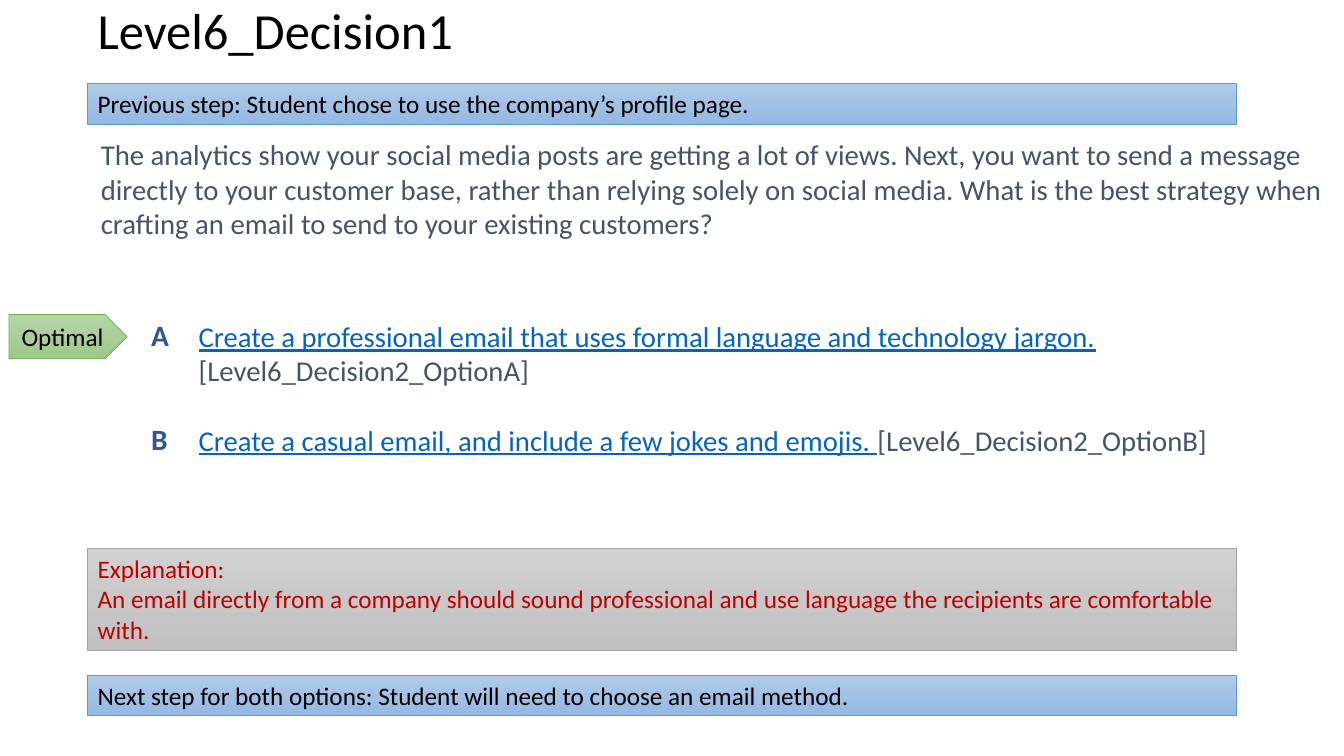
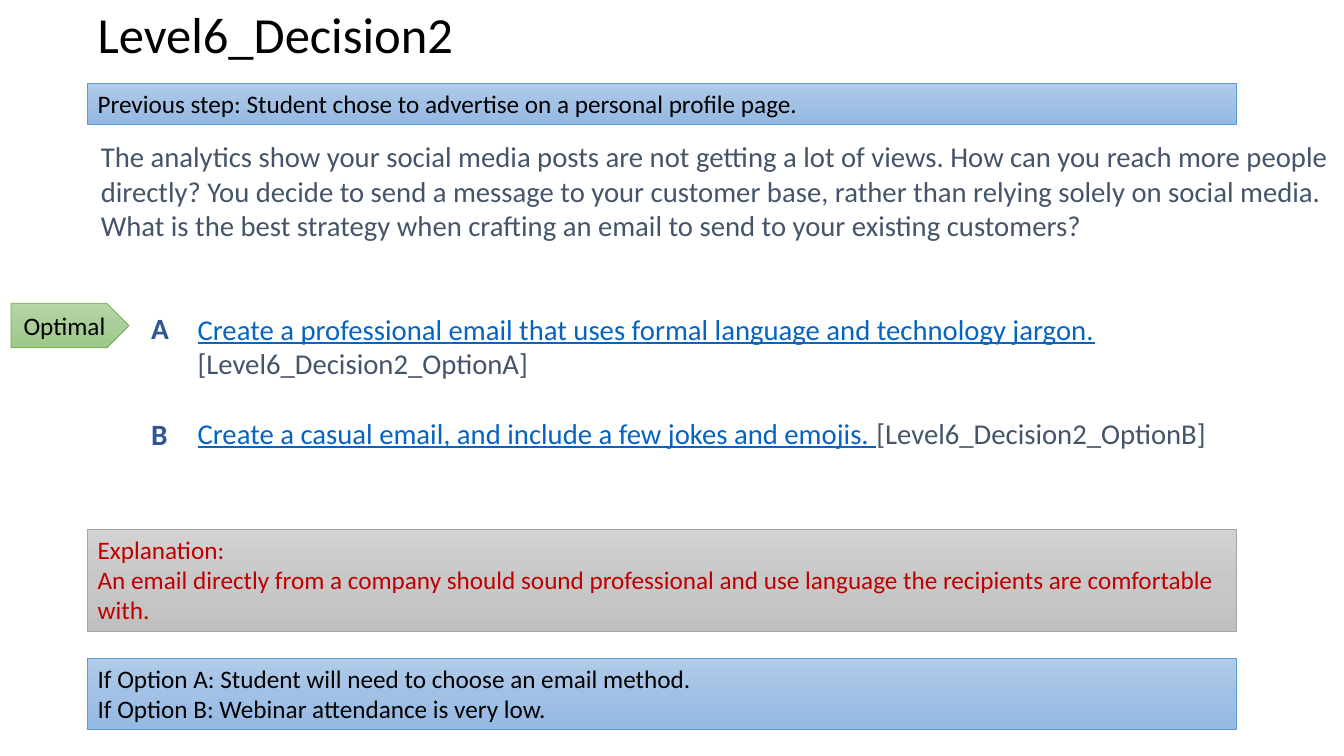
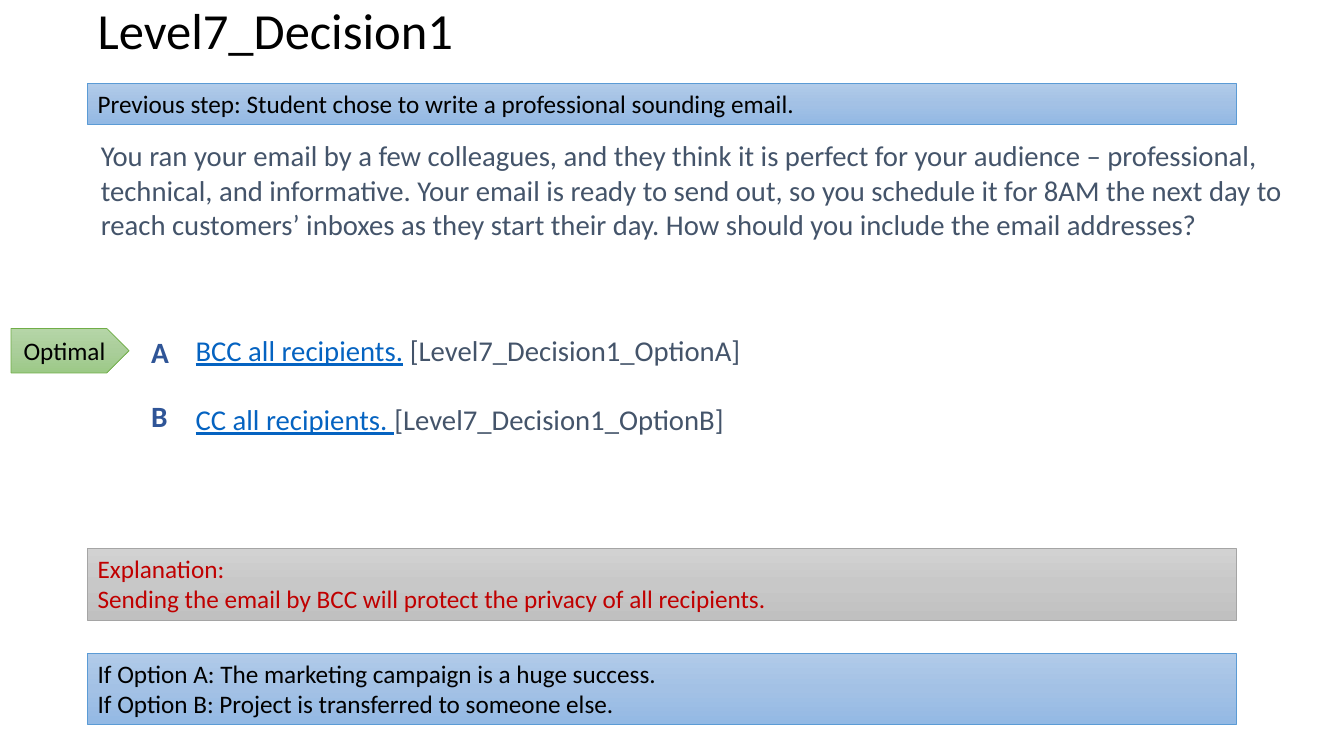
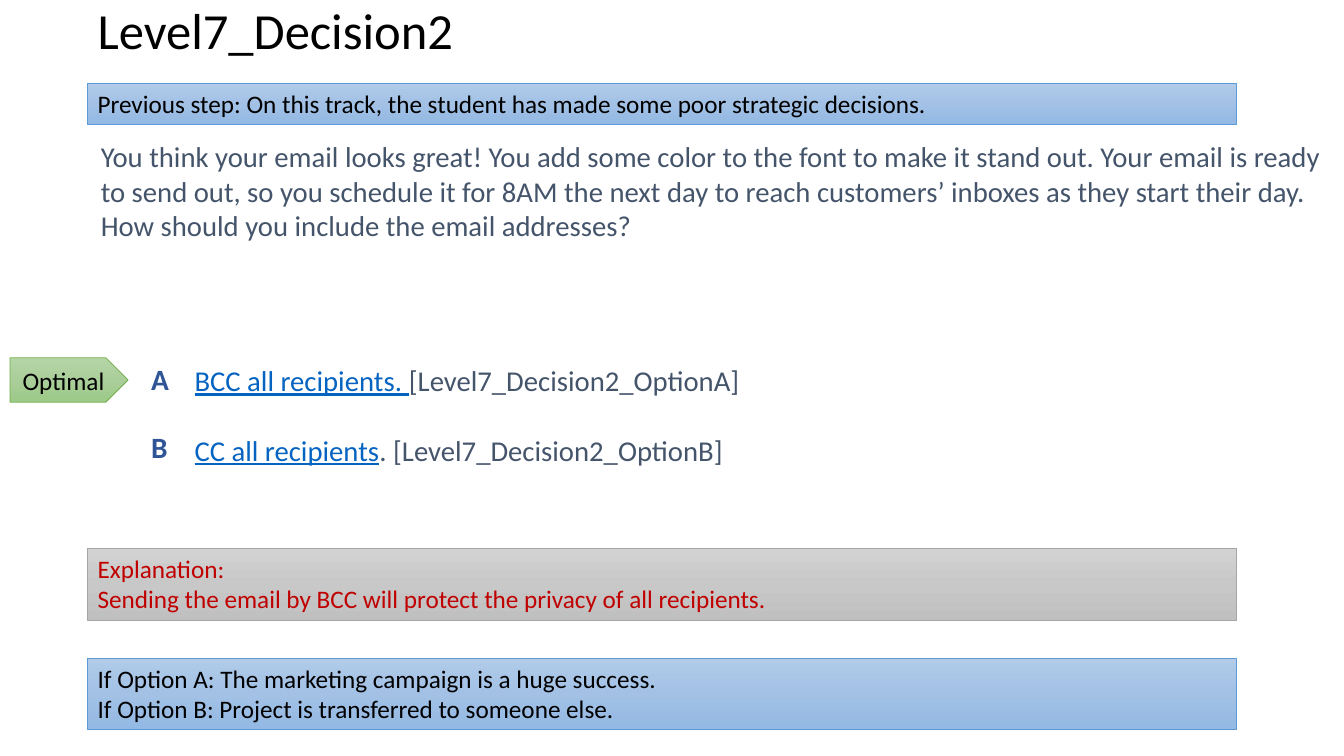
from copy import deepcopy

from pptx import Presentation
from pptx.dml.color import RGBColor
from pptx.enum.shapes import MSO_SHAPE as Preset
from pptx.enum.text import MSO_ANCHOR as Anchor, MSO_AUTO_SIZE as AutoSize, PP_ALIGN as Align
from pptx.oxml.ns import qn
from pptx.util import Inches, Pt

# Shared style
FONT = "Calibri"
BLACK, SLATE, LINK, LETTER, RED = "000000", "44546A", "0563C1", "2F5597", "C00000"
# Gradient stops from top to bottom, then the outline
BLUE = (("B1CBE9", "A3C1E5", "93B9E4"), "5B9BD5")
GREY = (("D2D2D2", "C8C8C8", "C0C0C0"), "A5A5A5")
GREEN = (("B5D5A7", "AACE9A", "9CC987"), "70AD47")
LEFT, BAND_WIDTH, RIGHT = 0.87, 11.39, 13.33
WIDE_INSETS, NORMAL_INSETS = (0.13, 0.07), (0.1, 0.05)

# Content
FORMAL = "An email directly from a company should sound professional and use language the recipients are comfortable with."
PRIVACY = "Sending the email by BCC will protect the privacy of all recipients."
OUTCOMES = [
    "If Option A: The marketing campaign is a huge success.",
    "If Option B: Project is transferred to someone else.",
]

# Options are (link, remainder); "tops" and "flag" are positions in inches
DECISIONS = [
    {
        "title": "Level6_Decision1",
        "previous": "Student chose to use the company’s profile page.",
        "question": "The analytics show your social media posts are getting a lot of views. Next, you want to send a message directly to your customer base, rather than relying solely on social media. What is the best strategy when crafting an email to send to your existing customers?",
        "options": [
            ("Create a professional email that uses formal language and technology jargon. ", "[Level6_Decision2_OptionA]"),
            ("Create a casual email, and include a few jokes and emojis. ", "[Level6_Decision2_OptionB]"),
        ],
        "explanation": FORMAL, "explanation_lines": 3,
        "next": ["Next step for both options: Student will need to choose an email method."],
        "tops": {"title": 0, "question": 1.29, "explanation": 5.44, "next": 6.7},
        "flag": (0.09, 3.12), "options_at": (1.84, 3.09, 1.83), "letter_tops": (3.08, 4.11),
    },
    {
        "title": "Level6_Decision2",
        "previous": "Student chose to advertise on a personal profile page.",
        "question": "The analytics show your social media posts are not getting a lot of views. How can you reach more people directly? You decide to send a message to your customer base, rather than relying solely on social media. What is the best strategy when crafting an email to send to your existing customers?",
        "options": [
            ("Create a professional email that uses formal language and technology jargon.", " [Level6_Decision2_OptionA]"),
            ("Create a casual email, and include a few jokes and emojis. ", "[Level6_Decision2_OptionB]"),
        ],
        "explanation": FORMAL, "explanation_lines": 3,
        "next": [
            "If Option A: Student will need to choose an email method.",
            "If Option B: Webinar attendance is very low.",
        ],
        "tops": {"title": 0.04, "question": 1.31, "explanation": 5.25, "next": 6.53},
        "flag": (0.11, 3.01), "options_at": (1.83, 3.02, 1.83), "letter_tops": (3.01, 4.06),
    },
    {
        "title": "Level7_Decision1",
        "previous": "Student chose to write a professional sounding email.",
        "question": "You ran your email by a few colleagues, and they think it is perfect for your audience – professional, technical, and informative. Your email is ready to send out, so you schedule it for 8AM the next day to reach customers’ inboxes as they start their day. How should you include the email addresses?",
        "options": [
            ("BCC all recipients.", " [Level7_Decision1_OptionA]"),
            ("CC all recipients. ", "[Level7_Decision1_OptionB]"),
        ],
        "explanation": PRIVACY, "explanation_lines": 2,
        "next": OUTCOMES,
        "tops": {"title": 0, "question": 1.3, "explanation": 5.44, "next": 6.48},
        "flag": (0.11, 3.26), "options_at": (1.81, 3.23, 1.48), "letter_tops": (3.24, 3.88),
    },
    {
        "title": "Level7_Decision2",
        "previous": "On this track, the student has made some poor strategic decisions.",
        "question": "You think your email looks great! You add some color to the font to make it stand out. Your email is ready to send out, so you schedule it for 8AM the next day to reach customers’ inboxes as they start their day. How should you include the email addresses?",
        "options": [
            ("BCC all recipients. ", "[Level7_Decision2_OptionA]"),
            ("CC all recipients", ". [Level7_Decision2_OptionB]"),
        ],
        "explanation": PRIVACY, "explanation_lines": 2,
        "next": OUTCOMES,
        "tops": {"title": 0, "question": 1.31, "explanation": 5.44, "next": 6.53},
        "flag": (0.1, 3.55), "options_at": (1.8, 3.53, 1.48), "letter_tops": (3.51, 4.19),
    },
]


def rgb(color):
    return RGBColor.from_string(color)


def set_frame(shape, insets=NORMAL_INSETS, anchor=Anchor.TOP):
    frame = shape.text_frame
    frame.word_wrap = True
    frame.vertical_anchor = anchor
    frame.margin_left = frame.margin_right = Inches(insets[0])
    frame.margin_top = frame.margin_bottom = Inches(insets[1])
    return frame


def write(frame, lines, size, color, bold=False, align=Align.LEFT):
    """Fill the frame with one paragraph per line."""
    frame.text = "\n".join(lines)
    for paragraph in frame.paragraphs:
        paragraph.alignment = align
        style_font(paragraph.font, size, color, bold)


def style_font(font, size, color, bold=False):
    font.name, font.size, font.bold = FONT, Pt(size), bold
    font.color.rgb = rgb(color)


def add_text(slide, box, insets=WIDE_INSETS, anchor=Anchor.TOP):
    return set_frame(slide.shapes.add_textbox(*map(Inches, box)), insets, anchor)


def add_panel(slide, preset, box, palette):
    """Add a shape with a three-stop vertical gradient and a thin outline."""
    panel = slide.shapes.add_shape(preset, *map(Inches, box))
    panel.shadow.inherit = False
    stops, outline = palette
    panel.fill.gradient()
    panel.fill.gradient_angle = 270
    stop_list = panel._element.spPr.find(qn("a:gradFill")).find(qn("a:gsLst"))
    stop_list.insert(1, deepcopy(stop_list[0]))
    for stop, color, position in zip(panel.fill.gradient_stops, stops, (0, 0.5, 1)):
        stop.color.rgb = rgb(color)
        stop.position = position
    panel.line.color.rgb = rgb(outline)
    panel.line.width = Pt(0.5)
    return panel


def add_band(slide, top, lines, palette, color=BLACK, line_count=None):
    """Add a full-width band as tall as its lines."""
    height = round(0.1 + 0.304 * (line_count or len(lines)), 2)
    band = add_panel(slide, Preset.RECTANGLE, (LEFT, top, BAND_WIDTH, height), palette)
    frame = set_frame(band)
    frame.auto_size = AutoSize.SHAPE_TO_FIT_TEXT
    write(frame, lines, 18, color)


def add_options(slide, decision):
    left, top, height = decision["options_at"]
    frame = add_text(slide, (left, top, RIGHT - left, height))
    for index, (link, remainder) in enumerate(decision["options"]):
        option = frame.add_paragraph() if index else frame.paragraphs[0]
        if index:
            option.space_before = Pt(25)
        option.font.name, option.font.size = FONT, Pt(20.5)
        for words, color in ((link, LINK), (remainder, SLATE)):
            run = option.add_run()
            run.text = words
            run.font.color.rgb = rgb(color)
            run.font.underline = color == LINK
    for letter, letter_top in zip("AB", decision["letter_tops"]):
        write(add_text(slide, (1.37, letter_top, 0.7, 0.44)), [letter], 21, LETTER, bold=True)


def add_decision(slide, decision):
    tops = decision["tops"]

    # Title and question
    title = add_text(slide, (LEFT, tops["title"], BAND_WIDTH, 0.66), NORMAL_INSETS, Anchor.MIDDLE)
    write(title, [decision["title"]], 36.1, BLACK)
    title.paragraphs[0].line_spacing = 0.9
    question = add_text(slide, (LEFT, tops["question"], RIGHT - LEFT, 1.14))
    write(question, [decision["question"]], 20.5, SLATE)

    # Bands
    add_band(slide, 0.83, ["Previous step: " + decision["previous"]], BLUE)
    add_band(slide, tops["explanation"], ["Explanation:", decision["explanation"]], GREY, RED,
             decision["explanation_lines"])
    add_band(slide, tops["next"], decision["next"], BLUE)

    # Options and the flag on the best one
    flag = add_panel(slide, Preset.PENTAGON, (*decision["flag"], 1.17, 0.44), GREEN)
    write(set_frame(flag, anchor=Anchor.MIDDLE), ["Optimal"], 18, BLACK, align=Align.CENTER)
    add_options(slide, decision)


def main():
    deck = Presentation()
    deck.slide_width, deck.slide_height = Inches(13.33), Inches(7.5)
    for decision in DECISIONS:
        add_decision(deck.slides.add_slide(deck.slide_layouts[6]), decision)
    deck.save("out.pptx")


if __name__ == "__main__":
    main()
